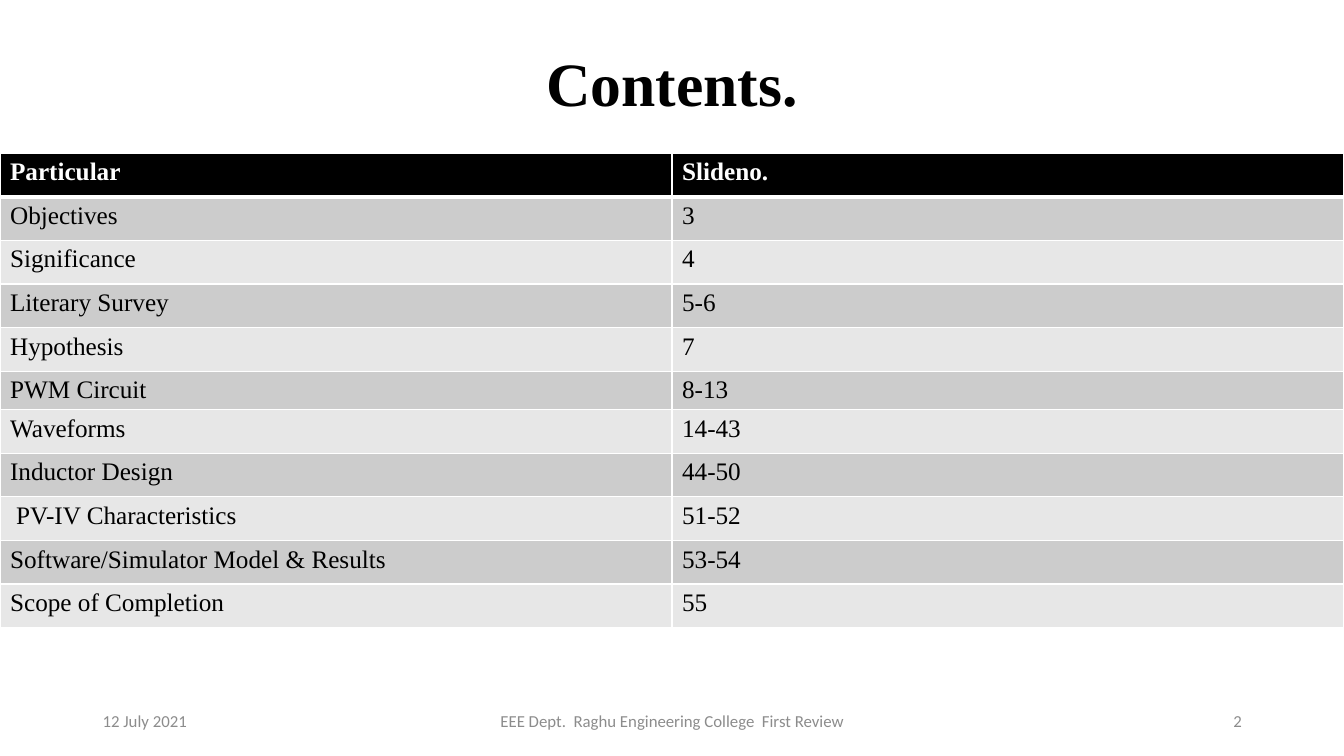
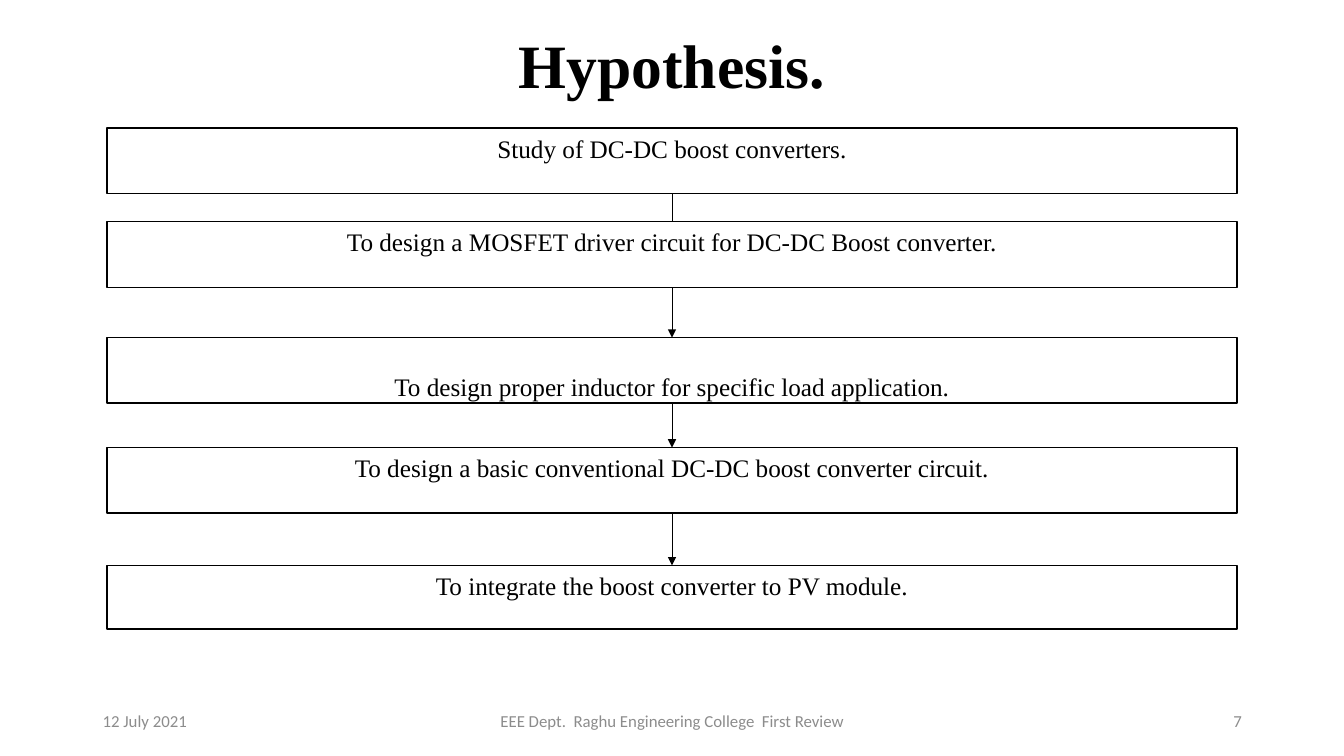
import pptx
import pptx.util
import pptx.dml.color
import pptx.enum.shapes
import pptx.enum.text
from lxml import etree

INK = {"black": "000000", "white": "FFFFFF", "gray": "8C8C8C", "dark": "CCCCCC", "pale": "E7E7E7"}
ALIGN = pptx.enum.text.PP_ALIGN
ANCHOR = pptx.enum.text.MSO_ANCHOR
SHAPE = pptx.enum.shapes.MSO_SHAPE
LINE = pptx.enum.shapes.MSO_CONNECTOR
Pt = pptx.util.Pt
Inches = pptx.util.Inches
NS = "http://schemas.openxmlformats.org/drawingml/2006/main"
SIZE = (0, 0, Inches(13.33), Inches(7.5))

TITLE = {"name": "Times New Roman", "size": Pt(44), "bold": True}
BODY = {"name": "Times New Roman", "size": Pt(18), "bold": False}
HEAD = {**BODY, "bold": True}
FOOT = {"name": "Calibri", "size": Pt(12), "bold": False}

TOPICS = [
    ("Particular", "Slideno."),
    ("Objectives", "3"),
    ("Significance", "4"),
    ("Literary Survey", "5-6"),
    ("Hypothesis", "7"),
    ("PWM Circuit", "8-13"),
    ("Waveforms", "14-43"),
    ("Inductor Design", "44-50"),
    ("PV-IV Characteristics", "51-52"),
    ("Software/Simulator Model & Results", "53-54"),
    ("Scope of Completion", "55"),
]
TIGHT = 5
INSET = 8

STEPS = [
    (0, "Study of DC-DC boost converters."),
    (18.71, "To design a MOSFET driver circuit for DC-DC Boost converter."),
    (41.85, "To design proper inductor for specific load application."),
    (63.78, "To design a basic conventional DC-DC boost converter circuit."),
    (87.32, "To integrate the boost converter to PV module."),
]
LOW = 2
STEP = 13.08


def color(name):
    """Return the named colour."""
    return pptx.dml.color.RGBColor.from_string(INK[name])


def part(box, x, y, w, h):
    """Return the part of a box given in percent of its width and height."""
    left, top, wide, high = box
    return (left + int(wide * x / 100), top + int(high * y / 100),
            int(wide * w / 100), int(high * h / 100))


def style(item, look):
    """Set each attribute of an item from a dict."""
    for key, value in look.items():
        setattr(item, key, value)


def write(frame, text, look, ink="black", align=ALIGN.LEFT, **setup):
    """Write one styled paragraph in a text frame and return it."""
    style(frame, {"word_wrap": True, **setup})
    para = frame.paragraphs[0]
    para.alignment = align
    run = para.add_run()
    run.text = text
    style(run.font, look)
    run.font.color.rgb = color(ink)
    return para


def label(slide, box, *args, **setup):
    """Add a text box centred on its height and return its paragraph."""
    frame = slide.shapes.add_textbox(*box).text_frame
    return write(frame, *args, vertical_anchor=ANCHOR.MIDDLE, **setup)


def frame(deck, title, number, top, high):
    """Add a slide with its title and footer."""
    slide = deck.slides.add_slide(deck.slide_layouts[6])
    para = label(slide, part(SIZE, 0, top, 100, high), title, TITLE, "black", ALIGN.CENTER)
    para.line_spacing = 0.9
    footer(slide, part(SIZE, 6.9, 92.67, 86.25, 5.33), number)
    return slide


def footer(slide, box, number):
    """Place date, course and slide number along a band."""
    notes = [
        (0, 26.1, "12 July 2021", ALIGN.LEFT),
        (30.4, 39.2, "EEE Dept.  Raghu Engineering College  First Review", ALIGN.CENTER),
        (73.9, 26.1, str(number), ALIGN.RIGHT),
    ]
    for left, wide, text, align in notes:
        label(slide, part(box, left, 0, wide, 100), text, FOOT, "gray", align)


def border(cell, widths):
    """Draw white borders of the given widths around a cell."""
    props = cell._tc.get_or_add_tcPr()
    for spot, (side, width) in enumerate(widths.items()):
        edge = etree.Element(f"{{{NS}}}ln{side}", w=str(Pt(width)))
        fill = etree.SubElement(edge, f"{{{NS}}}solidFill")
        etree.SubElement(fill, f"{{{NS}}}srgbClr", val=INK["white"])
        props.insert(spot, edge)


def topics(slide, box):
    """Fill a box with the table of contents."""
    table = slide.shapes.add_table(len(TOPICS), 2, *box).table
    table.horz_banding = False
    short = Inches(0.37)
    tall = (box[3] - short) // (len(TOPICS) - 1)
    for r, texts in enumerate(TOPICS):
        table.rows[r].height = short if r == TIGHT else tall
        fill = "black" if r == 0 else ("pale", "dark")[r % 2]
        for c, text in enumerate(texts):
            cell = table.cell(r, c)
            cell.fill.solid()
            cell.fill.fore_color.rgb = color(fill)
            left = 0.16 if (r, c) == (INSET, 0) else 0.1
            style(cell, {"margin_left": Inches(left), "margin_top": Inches(0.05),
                         "margin_bottom": Inches(0.03)})
            write(cell.text_frame, text, BODY if r else HEAD, "black" if r else "white")
            border(cell, {"L": 1, "R": 1, "T": 3 if r == 1 else 1, "B": 1 if r else 3})


def step(slide, box, text, low):
    """Add one outlined step, with its text at the top or bottom."""
    rect = slide.shapes.add_shape(SHAPE.RECTANGLE, *box)
    rect.shadow.inherit = False
    rect.fill.solid()
    rect.fill.fore_color.rgb = color("white")
    rect.line.color.rgb = color("black")
    rect.line.width = Pt(1)
    write(rect.text_frame, text, BODY, "black", ALIGN.CENTER,
          vertical_anchor=ANCHOR.BOTTOM if low else ANCHOR.TOP,
          margin_top=Inches(0.05), margin_bottom=Inches(0.02))
    return rect


def link(slide, start, end, head):
    """Join two steps, with an arrowhead if asked."""
    line = slide.shapes.add_connector(LINE.STRAIGHT, 0, 0, 0, 0)
    line.begin_connect(start, 2)
    line.end_connect(end, 0)
    line.line.color.rgb = color("black")
    line.line.width = Pt(0.5)
    if head:
        etree.SubElement(line.line._get_or_add_ln(), f"{{{NS}}}tailEnd", type="triangle")
    etree.SubElement(line._element.spPr, f"{{{NS}}}effectLst")


def flow(slide, box):
    """Stack the steps in a box and link each to the next."""
    rects = [step(slide, part(box, 0, top, 100, min(STEP, 100 - top)), text, i == LOW)
             for i, (top, text) in enumerate(STEPS)]
    for i, (start, end) in enumerate(zip(rects, rects[1:])):
        link(slide, start, end, i > 0)


def main():
    """Build and save the deck."""
    deck = pptx.Presentation()
    style(deck, {"slide_width": SIZE[2], "slide_height": SIZE[3]})
    topics(frame(deck, "Contents.", 2, 1.73, 19.33), part(SIZE, 0, 20.27, 100, 62.67))
    flow(frame(deck, "Hypothesis.", 7, 1.07, 15.87), part(SIZE, 7.95, 16.93, 84.1, 66.27))
    deck.save("out.pptx")


if __name__ == "__main__":
    main()
